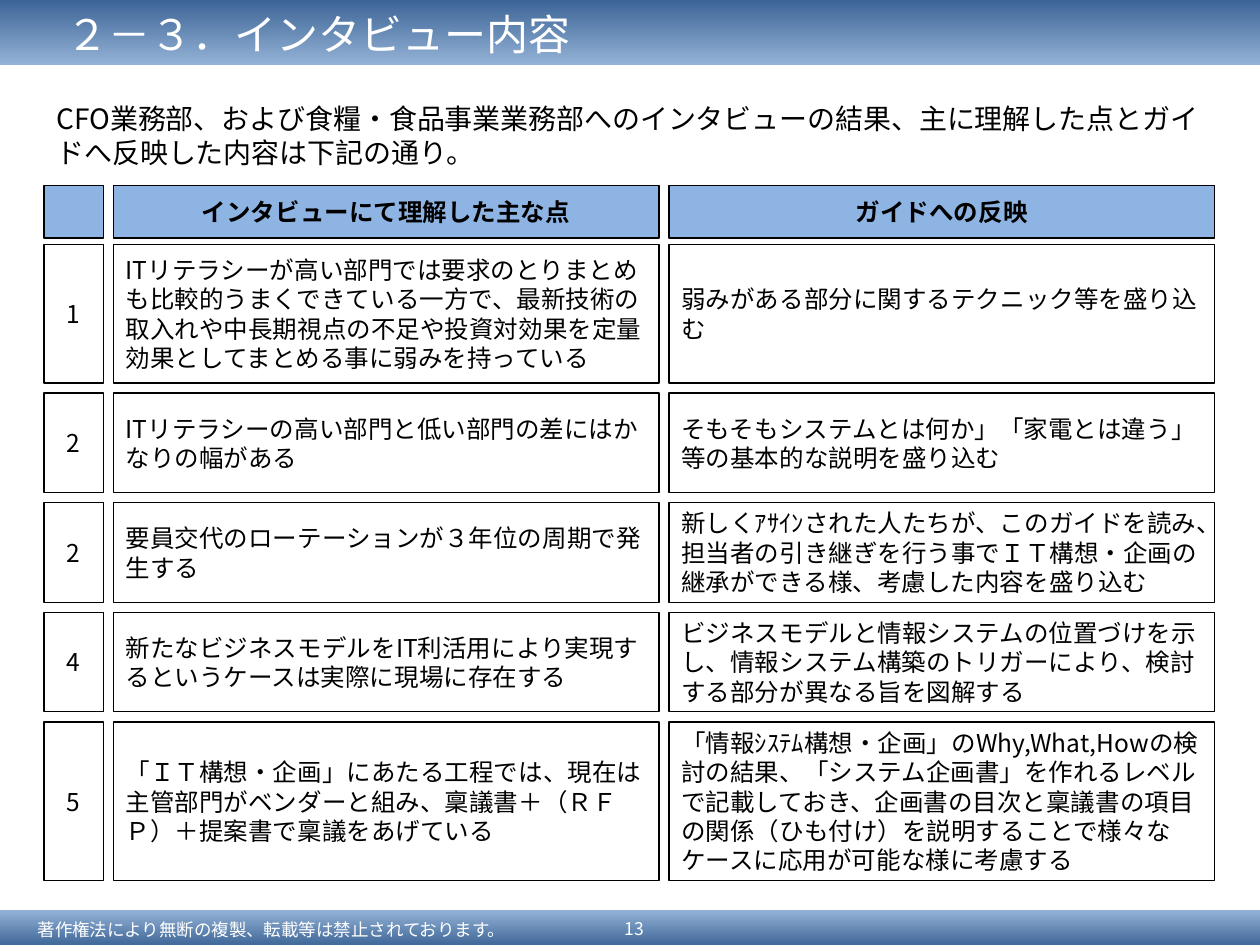
from dataclasses import dataclass

from lxml.etree import SubElement
from pptx import Presentation
from pptx.dml.color import RGBColor
from pptx.enum.shapes import MSO_SHAPE
from pptx.enum.text import MSO_ANCHOR, MSO_AUTO_SIZE, PP_ALIGN
from pptx.oxml.ns import qn
from pptx.util import Inches, Pt

FONT = "Noto Sans CJK JP"
BLACK = RGBColor(0x00, 0x00, 0x00)
WHITE = RGBColor(0xFF, 0xFF, 0xFF)
NAVY = RGBColor(0x37, 0x60, 0x92)
PALE = RGBColor(0x95, 0xB3, 0xD7)
HEAD = RGBColor(0x8E, 0xB4, 0xE3)


@dataclass
class Box:
    left: float
    top: float
    width: float
    height: float

    def emu(self) -> list:
        return [Inches(n) for n in (self.left, self.top, self.width, self.height)]


@dataclass
class Row:
    height: float
    cells: tuple
    head: bool = False


@dataclass
class Label:
    box: Box
    text: str
    size: int
    color: RGBColor
    align: PP_ALIGN = PP_ALIGN.LEFT
    anchor: MSO_ANCHOR = MSO_ANCHOR.TOP
    pad: float = 0.05


# Grid: column widths, row heights and the gaps between them
LEFT, TOP, GAP, HEAD_GAP = 0.35, 1.47, 0.08, 0.05
COLS = (0.47, 4.33, 4.33)
ROWS = (
    Row(0.42, ("", "インタビューにて理解した主な点", "ガイドへの反映"), True),
    Row(1.1, (
        "1",
        "ITリテラシーが高い部門では要求のとりまとめも比較的うまくできている一方で、"
        "最新技術の取入れや中長期視点の不足や投資対効果を定量効果としてまとめる事に弱みを持っている",
        "弱みがある部分に関するテクニック等を盛り込む")),
    Row(0.79, (
        "2",
        "ITリテラシーの高い部門と低い部門の差にはかなりの幅がある",
        "そもそもシステムとは何か」「家電とは違う」等の基本的な説明を盛り込む")),
    Row(0.79, (
        "2",
        "要員交代のローテーションが３年位の周期で発生する",
        "新しくｱｻｲﾝされた人たちが、このガイドを読み、担当者の引き継ぎを行う事で"
        "ＩＴ構想・企画の継承ができる様、考慮した内容を盛り込む")),
    Row(0.79, (
        "4",
        "新たなビジネスモデルをIT利活用により実現するというケースは実際に現場に存在する",
        "ビジネスモデルと情報システムの位置づけを示し、情報システム構築のトリガーにより、"
        "検討する部分が異なる旨を図解する")),
    Row(1.26, (
        "5",
        "「ＩＴ構想・企画」にあたる工程では、現在は主管部門がベンダーと組み、"
        "稟議書＋（ＲＦＰ）＋提案書で稟議をあげている",
        "「情報ｼｽﾃﾑ構想・企画」のWhy,What,Howの検討の結果、「システム企画書」を"
        "作れるレベルで記載しておき、企画書の目次と稟議書の項目の関係（ひも付け）を"
        "説明することで様々なケースに応用が可能な様に考慮する")),
)

FOOT = (
    Label(Box(0.2, 7.25, 4.25, 0.25), "著作権法により無断の複製、転載等は禁止されております。",
          10, WHITE, anchor=MSO_ANCHOR.MIDDLE, pad=0.04),
    Label(Box(4.76, 7.23, 0.55, 0.28), "13", 10, WHITE,
          PP_ALIGN.CENTER, MSO_ANCHOR.MIDDLE, 0.04),
)
LEAD = Label(Box(0.35, 0.76, 9.45, 0.64),
             "CFO業務部、および食糧・食品事業業務部へのインタビューの結果、"
             "主に理解した点とガイドへ反映した内容は下記の通り。", 16, BLACK)
TITLE = Label(Box(0.43, 0.02, 8.74, 0.5), "２－３．インタビュー内容", 24, WHITE)


def write(shape, label: Label, bold: bool = False) -> None:
    frame = shape.text_frame
    frame.word_wrap = True
    frame.vertical_anchor = label.anchor
    frame.margin_left = frame.margin_right = Inches(0.1)
    frame.margin_top = frame.margin_bottom = Inches(label.pad)
    para = frame.paragraphs[0]
    para.text = label.text
    para.alignment = label.align
    font = para.font
    font.size = Pt(label.size)
    font.bold = bold
    font.color.rgb = label.color
    font.name = FONT
    # Japanese glyphs take the East Asian typeface
    props = para._p.pPr.find(qn("a:defRPr"))
    SubElement(props, qn("a:ea")).set("typeface", FONT)


def add_label(slide, label: Label) -> None:
    shape = slide.shapes.add_textbox(*label.box.emu())
    write(shape, label)
    shape.text_frame.auto_size = MSO_AUTO_SIZE.SHAPE_TO_FIT_TEXT


def add_rect(slide, box: Box):
    shape = slide.shapes.add_shape(MSO_SHAPE.RECTANGLE, *box.emu())
    shape.shadow.inherit = False
    return shape


def add_band(slide, box: Box, low: RGBColor, high: RGBColor) -> None:
    shape = add_rect(slide, box)
    shape.line.fill.background()
    shape.fill.gradient()
    shape.fill.gradient_angle = 90
    for stop, color in zip(shape.fill.gradient_stops, (low, high)):
        stop.color.rgb = color


def add_cell(slide, box: Box, text: str, head: bool, mid: bool) -> None:
    shape = add_rect(slide, box)
    shape.fill.solid()
    shape.fill.fore_color.rgb = HEAD if head else WHITE
    shape.line.color.rgb = BLACK
    shape.line.width = Pt(0.75)
    if text:
        align = PP_ALIGN.CENTER if mid else PP_ALIGN.LEFT
        write(shape, Label(box, text, 14, BLACK, align, MSO_ANCHOR.MIDDLE), head)


def add_grid(slide) -> None:
    top = TOP
    for row in ROWS:
        left = LEFT
        for col, (width, text) in enumerate(zip(COLS, row.cells)):
            box = Box(left, top, width, row.height)
            add_cell(slide, box, text, row.head, row.head or col == 0)
            left += width + GAP
        top += row.height + (HEAD_GAP if row.head else GAP)


def main() -> None:
    deck = Presentation()
    deck.slide_width, deck.slide_height = Inches(10), Inches(7.5)
    slide = deck.slides.add_slide(deck.slide_layouts[6])

    # Footer
    add_band(slide, Box(0, 7.22, 10, 0.31), NAVY, PALE)
    for label in FOOT:
        add_label(slide, label)

    # Findings and lead sentence
    add_grid(slide)
    add_label(slide, LEAD)

    # Title band
    add_band(slide, Box(0, -0.03, 10, 0.55), PALE, NAVY)
    add_label(slide, TITLE)

    deck.save("out.pptx")


if __name__ == "__main__":
    main()
